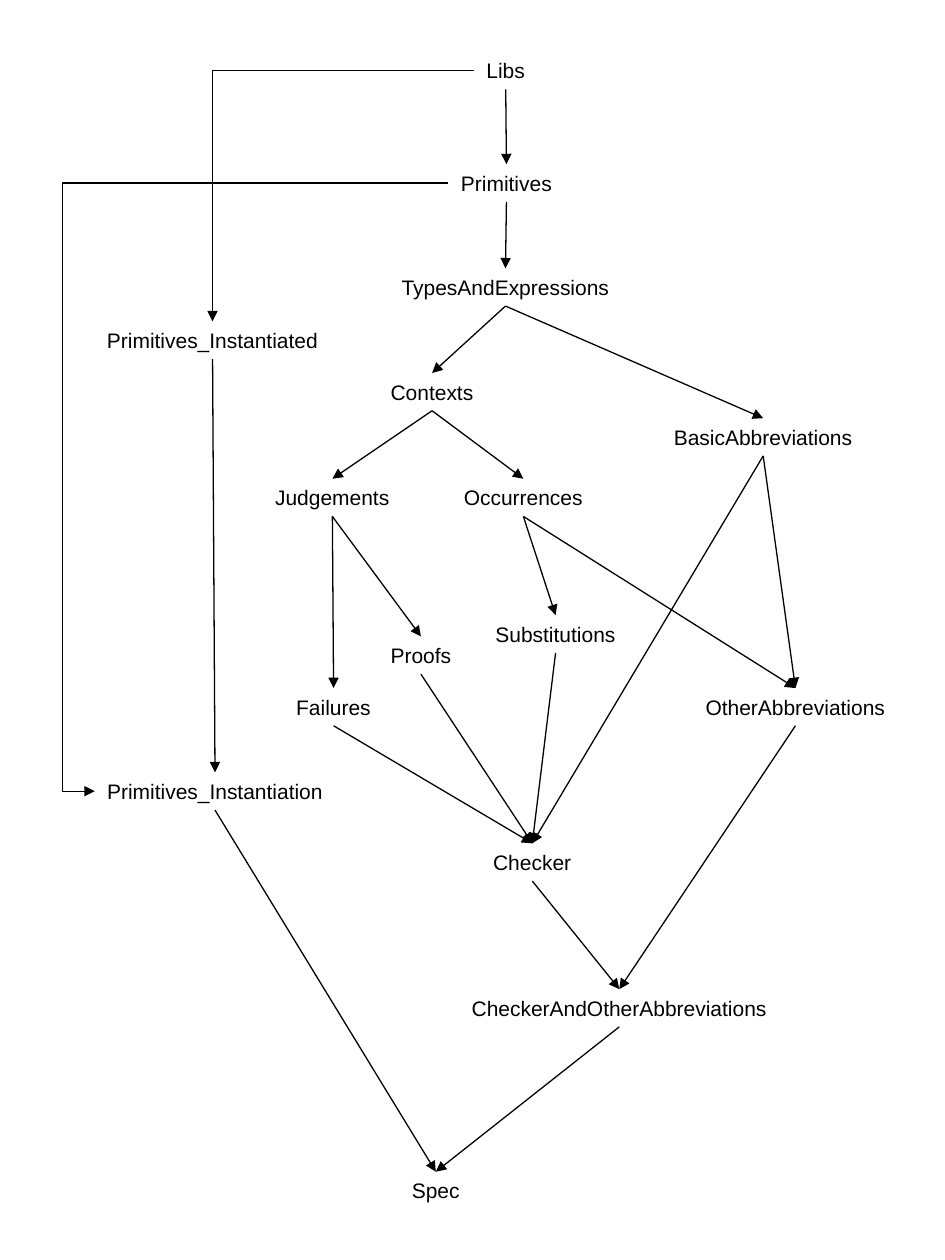
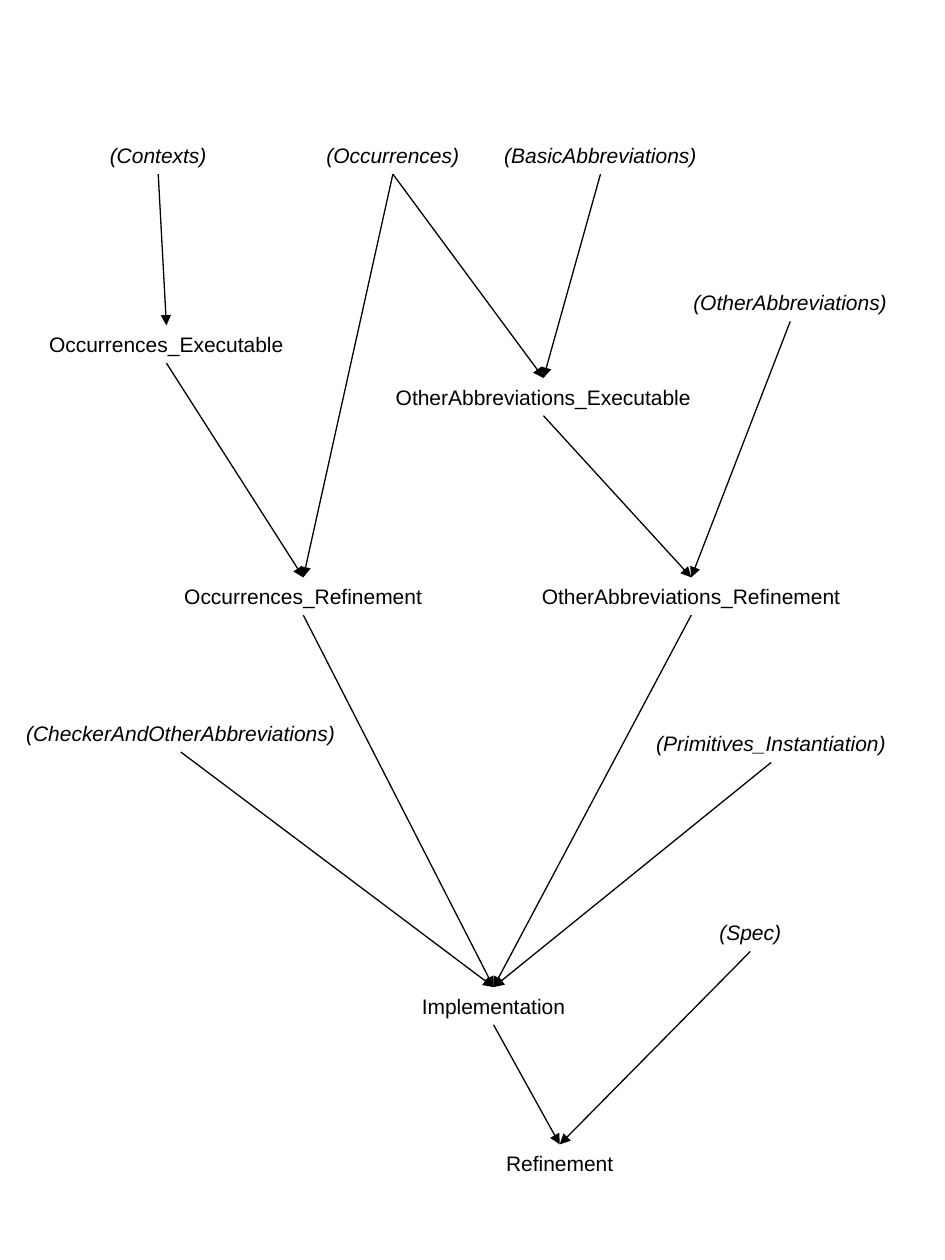
from collections import namedtuple
from dataclasses import dataclass

from lxml.etree import SubElement
from pptx import Presentation
from pptx.dml.color import RGBColor
from pptx.enum.shapes import MSO_CONNECTOR as Link
from pptx.enum.text import MSO_ANCHOR as Anchor, MSO_AUTO_SIZE as Fit, PP_ALIGN as Align
from pptx.oxml.ns import qn
from pptx.util import Cm, Pt


@dataclass(frozen=True)
class Theme:
    ink: RGBColor = RGBColor(0, 0, 0)
    paper: RGBColor = RGBColor(255, 255, 255)
    font: str = "Arial"
    label_size: float = 12
    line_width: float = 0.75
    label_height: float = 0.76
    side_margin: float = 0.2


Box = namedtuple("Box", "left top width height")
THEME = Theme()
PAGE = Box(0, 0, 19.05, 25.4)
TOP, LEFT, BOTTOM = 0, 1, 2

THEORIES = {
    "Libs": (9.56, 1.04, 1.27),
    "Primitives": (9.04, 3.31, 2.34),
    "TypesAndExpressions": (7.83, 5.41, 4.72),
    "Contexts": (7.62, 7.52, 2.18),
    "BasicAbbreviations": (13.34, 8.43, 4.09),
    "OtherAbbreviations": (13.98, 13.87, 4.11),
    "Judgements": (5.29, 9.65, 2.82),
    "Occurrences": (9.1, 9.65, 2.9),
    "Substitutions": (9.74, 12.4, 2.92),
    "CheckerAndOtherAbbreviations": (9.26, 19.94, 6.45),
    "Proofs": (7.62, 12.83, 1.73),
    "Failures": (5.72, 13.87, 2.01),
    "Checker": (9.69, 17, 2.08),
    "Spec": (8.05, 23.62, 1.47),
    "Primitives_Instantiated": (1.91, 6.48, 4.75),
    "Primitives_Instantiation": (1.91, 15.57, 4.85),
}
THEORY_ARROWS = {
    "Libs": ["Primitives"],
    "Primitives": ["TypesAndExpressions"],
    "TypesAndExpressions": ["BasicAbbreviations", "Contexts"],
    "BasicAbbreviations": ["OtherAbbreviations", "Checker"],
    "Contexts": ["Judgements", "Occurrences"],
    "Judgements": ["Proofs", "Failures"],
    "Occurrences": ["Substitutions", "OtherAbbreviations"],
    "Substitutions": ["Checker"],
    "Proofs": ["Checker"],
    "Failures": ["Checker"],
    "OtherAbbreviations": ["CheckerAndOtherAbbreviations"],
    "Checker": ["CheckerAndOtherAbbreviations"],
    "CheckerAndOtherAbbreviations": ["Spec"],
    "Primitives_Instantiated": ["Primitives_Instantiation"],
    "Primitives_Instantiation": ["Spec"],
}

REFINEMENTS = {
    "(Contexts)": (1.96, 2.75, 2.46),
    "(Occurrences)": (6.33, 2.75, 3.18),
    "(BasicAbbreviations)": (9.91, 2.75, 4.39),
    "OtherAbbreviations_Executable": (7.73, 7.62, 6.45),
    "Occurrences_Executable": (0.74, 6.56, 5.23),
    "(OtherAbbreviations)": (13.72, 5.72, 4.42),
    "Occurrences_Refinement": (3.46, 11.64, 5.31),
    "OtherAbbreviations_Refinement": (10.67, 11.64, 6.53),
    "(CheckerAndOtherAbbreviations)": (0.28, 14.4, 6.73),
    "Implementation": (8.25, 19.9, 3.4),
    "(Spec)": (14.25, 18.42, 1.75),
    "Refinement": (9.95, 23.07, 2.67),
    "(Primitives_Instantiation)": (12.98, 14.61, 5.13),
}
REFINEMENT_ARROWS = {
    "(Contexts)": ["Occurrences_Executable"],
    "(Occurrences)": ["OtherAbbreviations_Executable", "Occurrences_Refinement"],
    "(BasicAbbreviations)": ["OtherAbbreviations_Executable"],
    "(OtherAbbreviations)": ["OtherAbbreviations_Refinement"],
    "Occurrences_Executable": ["Occurrences_Refinement"],
    "OtherAbbreviations_Executable": ["OtherAbbreviations_Refinement"],
    "(CheckerAndOtherAbbreviations)": ["Implementation"],
    "Occurrences_Refinement": ["Implementation"],
    "OtherAbbreviations_Refinement": ["Implementation"],
    "(Primitives_Instantiation)": ["Implementation"],
    "Implementation": ["Refinement"],
    "(Spec)": ["Refinement"],
}


def add_label(page, box, text, italic=False, size=THEME.label_size, color=THEME.ink):
    label = page.shapes.add_textbox(*map(Cm, box))
    frame = label.text_frame
    frame.word_wrap = False
    frame.auto_size = Fit.SHAPE_TO_FIT_TEXT
    frame.vertical_anchor = Anchor.TOP
    frame.margin_left = frame.margin_right = Cm(THEME.side_margin)
    para = frame.paragraphs[0]
    para.alignment = Align.CENTER
    span = para.add_run()
    span.text = text
    span.font.name = THEME.font
    span.font.size = Pt(size)
    span.font.italic = italic
    span.font.color.rgb = color
    return label


def site_point(label, site):
    middle = label.left + label.width // 2
    return {
        TOP: (middle, label.top),
        LEFT: (label.left, label.top + label.height // 2),
        BOTTOM: (middle, label.top + label.height),
    }[site]


def add_arrow(page, source, target, start=BOTTOM, end=TOP, kind=Link.STRAIGHT):
    arrow = page.shapes.add_connector(
        kind, *site_point(source, start), *site_point(target, end))
    arrow.begin_connect(source, start)
    arrow.end_connect(target, end)
    arrow.line.color.rgb = THEME.ink
    arrow.line.width = Pt(THEME.line_width)
    properties = arrow._element.spPr
    SubElement(properties.find(qn("a:ln")), qn("a:tailEnd"), type="triangle")
    SubElement(properties, qn("a:effectLst"))
    return arrow


def add_corner_arrow(page, source, target):
    arrow = add_arrow(page, source, target, LEFT, TOP, Link.ELBOW)
    arrow._element.spPr.find(qn("a:prstGeom")).set("prst", "bentConnector2")


def add_detour_arrow(page, source, target, overshoot):
    arrow = add_arrow(page, source, target, LEFT, LEFT, Link.ELBOW)
    ratio = 1 + Cm(overshoot) / arrow.width
    guides = arrow._element.spPr.find(qn("a:prstGeom")).get_or_add_avLst()
    SubElement(guides, qn("a:gd"), name="adj1", fmla=f"val {round(ratio * 100000)}")


def draw_graph(page, box, places, arrows):
    labels = {
        name: add_label(
            page, Box(box.left + left, box.top + top, width, THEME.label_height),
            name, italic=name.startswith("("))
        for name, (left, top, width) in places.items()
    }
    for source, targets in arrows.items():
        for target in targets:
            add_arrow(page, labels[source], labels[target])
    return labels


def draw_theories(page, box):
    labels = draw_graph(page, box, THEORIES, THEORY_ARROWS)
    add_corner_arrow(page, labels["Libs"], labels["Primitives_Instantiated"])
    add_detour_arrow(
        page, labels["Primitives"], labels["Primitives_Instantiation"], overshoot=0.64)


def draw_refinements(page, box):
    draw_graph(page, box, REFINEMENTS, REFINEMENT_ARROWS)


def main():
    deck = Presentation()
    deck.slide_width, deck.slide_height = Cm(PAGE.width), Cm(PAGE.height)
    for draw in (draw_theories, draw_refinements):
        page = deck.slides.add_slide(deck.slide_layouts[6])
        page.background.fill.solid()
        page.background.fill.fore_color.rgb = THEME.paper
        draw(page, PAGE)
    deck.save("out.pptx")


if __name__ == "__main__":
    main()
